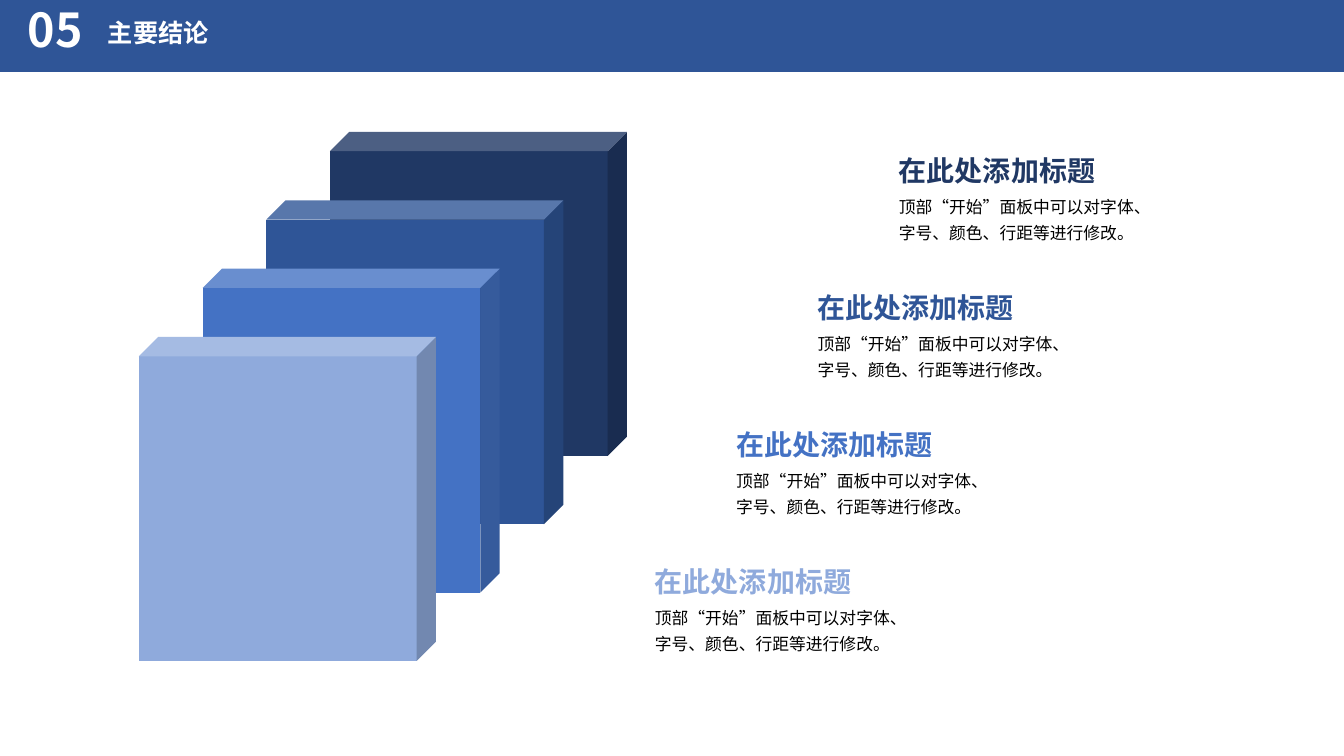
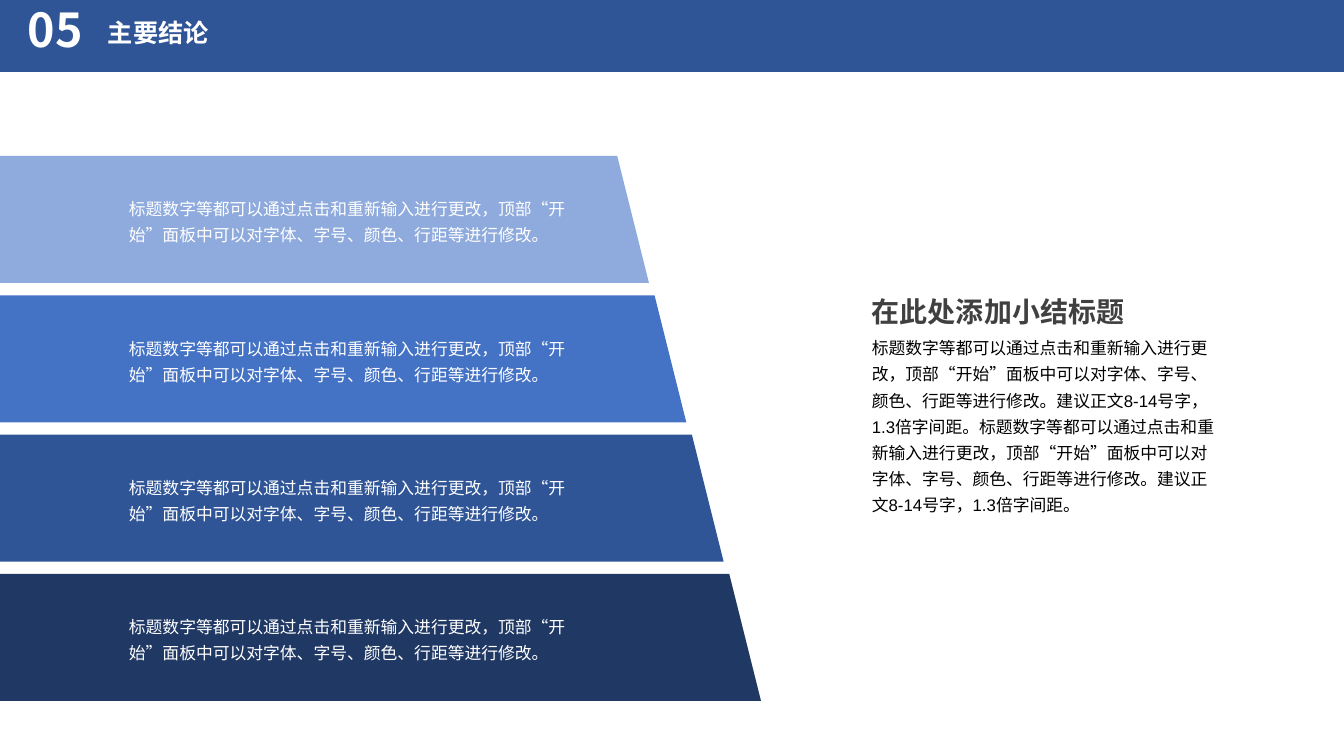
from lxml.etree import SubElement
from pptx import Presentation
from pptx.dml.color import RGBColor
from pptx.enum.lang import MSO_LANGUAGE_ID as Language
from pptx.enum.shapes import MSO_SHAPE as Shape
from pptx.enum.text import MSO_ANCHOR as Anchor, MSO_AUTO_SIZE as AutoSize
from pptx.oxml.ns import qn
from pptx.util import Emu, Pt

# Content, with the rows of each slide from top to bottom
SECTION_NUMBER = "05"
SECTION_TITLE = "主要结论"
CUBE_BODY = "顶部“开始”面板中可以对字体、字号、颜色、行距等进行修改。"
CUBE_ITEMS = [
    ("navy", "在此处添加标题", CUBE_BODY),
    ("blue", "在此处添加标题", CUBE_BODY),
    ("bright", "在此处添加标题", CUBE_BODY),
    ("pale", "在此处添加标题", CUBE_BODY),
]
BAR_BODY = "标题数字等都可以通过点击和重新输入进行更改，" + CUBE_BODY
BAR_ITEMS = [
    ("pale", BAR_BODY),
    ("bright", BAR_BODY),
    ("blue", BAR_BODY),
    ("navy", BAR_BODY),
]
SUMMARY_TITLE = "在此处添加小结标题"
SUMMARY_BODY = (BAR_BODY + "建议正文8-14号字，1.3倍字间距。") * 2

# Theme
CJK_FONT = "Noto Sans CJK SC"
THEME = {
    "colors": {
        "navy": "203864", "blue": "2F5597", "bright": "4472C4", "pale": "8FAADC",
        "white": "FFFFFF", "black": "000000", "gray": "404040",
    },
    "styles": {
        "number": {
            "font": {"size": Pt(33.3), "bold": True, "name": CJK_FONT},
            "paragraph": {"line_spacing": 0.7, "space_before": Pt(10)},
            "frame": {"vertical_anchor": Anchor.MIDDLE},
        },
        "title": {
            "font": {"size": Pt(18), "bold": True, "name": CJK_FONT},
            "paragraph": {"line_spacing": 0.9, "space_before": Pt(10)},
            "frame": {},
        },
        "heading": {
            "font": {"size": Pt(20), "bold": True, "name": "Arial"},
            "paragraph": {"line_spacing": 1.3},
            "frame": {"auto_size": AutoSize.SHAPE_TO_FIT_TEXT},
        },
        "body": {
            "font": {"size": Pt(12), "bold": False, "name": "Arial"},
            "paragraph": {"line_spacing": 1.3},
            "frame": {"auto_size": AutoSize.SHAPE_TO_FIT_TEXT},
        },
    },
}

# Layout in px
SLIDE_WIDTH, SLIDE_HEIGHT = 1344, 756
EMU_PER_PX = 12192000 / SLIDE_WIDTH
HEADING_SIZE = (322, 54)
BODY_OFFSET = 48
BODY_HEIGHT = 64


def px(*lengths):
    return [Emu(round(length * EMU_PER_PX)) for length in lengths]


def spread(first, last, count):
    """Evenly spaced positions from first to last."""
    return [first + (last - first) * i / (count - 1) for i in range(count)]


def color(name):
    return RGBColor.from_string(THEME["colors"][name])


def apply(target, values):
    for name, value in values.items():
        setattr(target, name, value)


def add_block(slide, kind, box, fill, adjustment=None):
    shape = slide.shapes.add_shape(kind, *px(*box))
    shape.shadow.inherit = False
    shape.fill.solid()
    shape.fill.fore_color.rgb = color(fill)
    shape.line.fill.background()
    if adjustment is not None:
        shape.adjustments[0] = adjustment


def add_text(slide, box, text, style_name, color_name):
    style = THEME["styles"][style_name]
    frame = slide.shapes.add_textbox(*px(*box)).text_frame
    apply(frame, {"word_wrap": True, **style["frame"]})
    paragraph = frame.paragraphs[0]
    apply(paragraph, style["paragraph"])
    run = paragraph.add_run()
    run.text = text
    apply(run.font, {**style["font"], "language_id": Language.SIMPLIFIED_CHINESE})
    run.font.color.rgb = color(color_name)
    SubElement(run.font._element, qn("a:ea")).set("typeface", CJK_FONT)


def add_heading_and_body(slide, left, top, heading, body, heading_color, body_size):
    add_text(slide, (left, top + BODY_OFFSET, *body_size), body, "body", "black")
    add_text(slide, (left, top, *HEADING_SIZE), heading, "heading", heading_color)


def add_section_slide(presentation):
    slide = presentation.slides.add_slide(presentation.slide_layouts[6])
    add_block(slide, Shape.RECTANGLE, (0, 0, SLIDE_WIDTH, 72), "blue")
    add_text(slide, (98, 16, 421, 40), SECTION_TITLE, "title", "white")
    add_text(slide, (18, 9, 80, 53), SECTION_NUMBER, "number", "white")
    return slide


def build_cubes(presentation):
    slide = add_section_slide(presentation)
    count = len(CUBE_ITEMS)

    # Staggered cubes, back to front
    cube_places = zip(spread(330, 139, count), spread(132, 337, count))
    for (fill, _, _), place in zip(CUBE_ITEMS, cube_places):
        add_block(slide, Shape.CUBE, (*place, 297, 324), fill, 0.065)

    # Captions along the same diagonal
    text_places = zip(spread(889, 645, count), spread(138, 549, count))
    for (fill, heading, body), (left, top) in zip(CUBE_ITEMS, text_places):
        add_heading_and_body(slide, left, top, heading, body, fill, (260, BODY_HEIGHT))


def build_bars(presentation):
    slide = add_section_slide(presentation)
    count = len(BAR_ITEMS)

    # Trapezoids share one centre line and run past the left edge
    center = 291
    for (fill, body), right, top in zip(
        BAR_ITEMS, spread(649, 761, count), spread(156, 574, count)
    ):
        width = 2 * (right - center)
        add_block(slide, Shape.TRAPEZOID, (right - width, top, width, 127), fill, 0.25)
        add_text(slide, (119, top + 32, 465, BODY_HEIGHT), body, "body", "white")

    # Summary
    add_heading_and_body(
        slide, 862, 279, SUMMARY_TITLE, SUMMARY_BODY, "gray", (364, 196)
    )


def main():
    presentation = Presentation()
    presentation.slide_width, presentation.slide_height = px(SLIDE_WIDTH, SLIDE_HEIGHT)
    build_cubes(presentation)
    build_bars(presentation)
    presentation.save("out.pptx")


if __name__ == "__main__":
    main()
